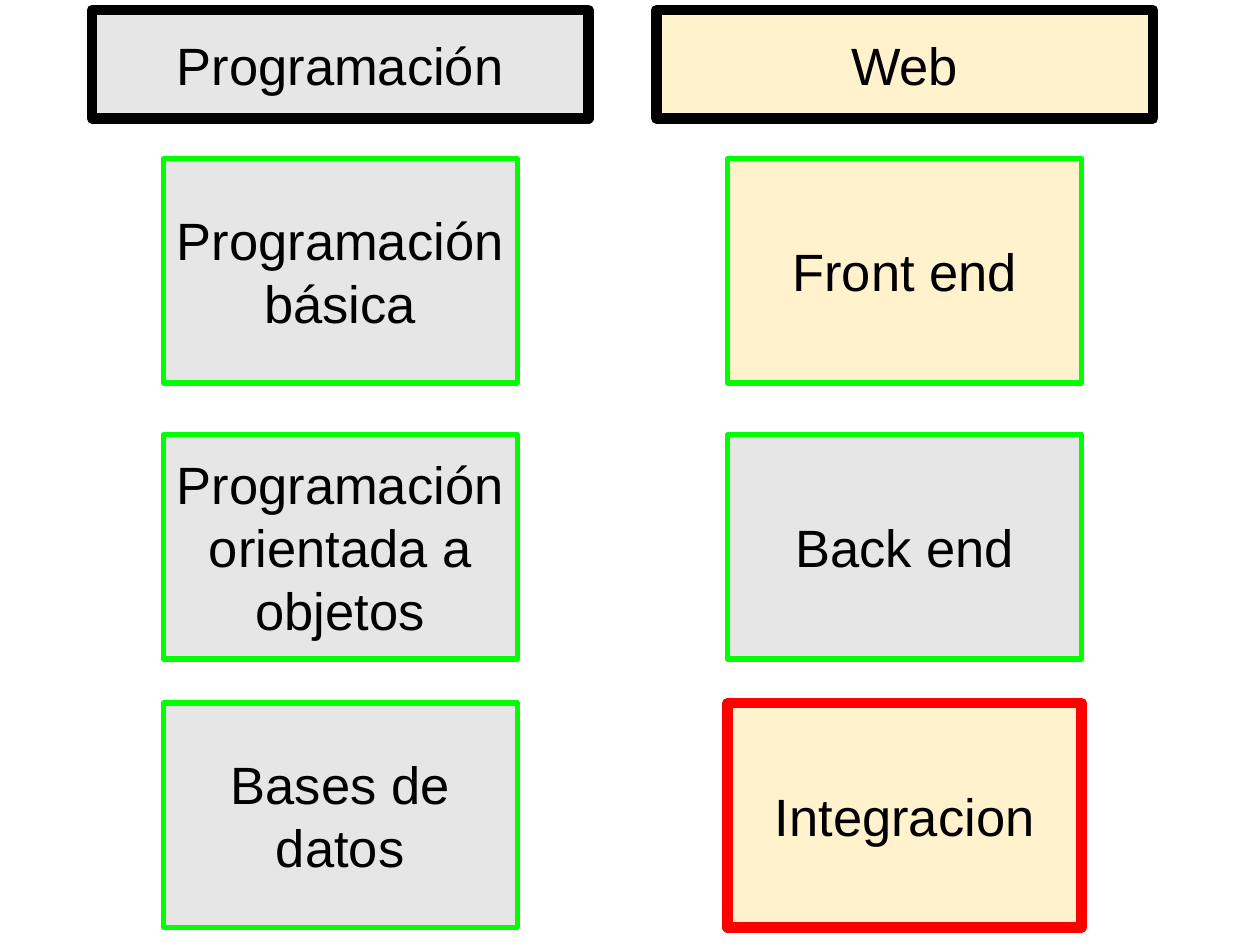
import pptx
import pptx.dml.color
import pptx.enum.shapes
import pptx.enum.text
import pptx.oxml.ns
import pptx.util
from lxml import etree

Inches = pptx.util.Inches
Pt = pptx.util.Pt

GRAY, CREAM = "E7E6E6", "FFF2CC"
BLACK, GREEN, RED = "000000", "00FF00", "FF0000"


def color(value):
    return pptx.dml.color.RGBColor.from_string(value)


class Deck:
    font = "Arial"
    size = 30
    inset = 0.1

    def __init__(self, prs):
        self.slide = prs.slides.add_slide(prs.slide_layouts[6])

    def box(self, text, left, top, width, height, fill, line, weight):
        sp = self.slide.shapes.add_shape(
            pptx.enum.shapes.MSO_SHAPE.RECTANGLE,
            Inches(left), Inches(top), Inches(width), Inches(height))
        sp.shadow.inherit = False
        sp.fill.solid()
        sp.fill.fore_color.rgb = color(fill)
        sp.line.color.rgb = color(line)
        sp.line.width = Pt(weight)
        ln = sp.line.fill._xPr
        etree.SubElement(ln, pptx.oxml.ns.qn("a:round"))
        self.label(sp.text_frame, text)

    def label(self, tf, text):
        tf.text = text
        tf.word_wrap = True
        tf.vertical_anchor = pptx.enum.text.MSO_ANCHOR.MIDDLE
        tf.margin_left = tf.margin_right = Inches(self.inset)
        tf.margin_top = tf.margin_bottom = Inches(self.inset)
        p = tf.paragraphs[0]
        p.alignment = pptx.enum.text.PP_ALIGN.CENTER
        for r in p.runs:
            r.font.name = self.font
            r.font.size = Pt(self.size)
            r.font.color.rgb = color(BLACK)


def main():
    prs = pptx.Presentation()
    prs.slide_width, prs.slide_height = Inches(10), Inches(7.5)
    deck = Deck(prs)

    topic_tops = [1.26, 3.45, 5.58]
    columns = [
        (0.73, "Programación", GRAY, [
            ("Programación básica", GRAY, GREEN, 3),
            ("Programación orientada a objetos", GRAY, GREEN, 3),
            ("Bases de datos", GRAY, GREEN, 3)]),
        (5.21, "Web", CREAM, [
            ("Front end", CREAM, GREEN, 3),
            ("Back end", GRAY, GREEN, 3),
            ("Integracion", CREAM, RED, 6)]),
    ]
    header_width, topic_width = 3.94, 2.81
    indent = (header_width - topic_width) / 2

    for left, title, header_fill, topics in columns:
        deck.box(title, left, 0.08, header_width, 0.86, header_fill, BLACK, 6)
        for top, (text, fill, line, weight) in zip(topic_tops, topics):
            deck.box(text, left + indent, top, topic_width, 1.78, fill, line, weight)

    prs.save("out.pptx")


if __name__ == "__main__":
    main()
